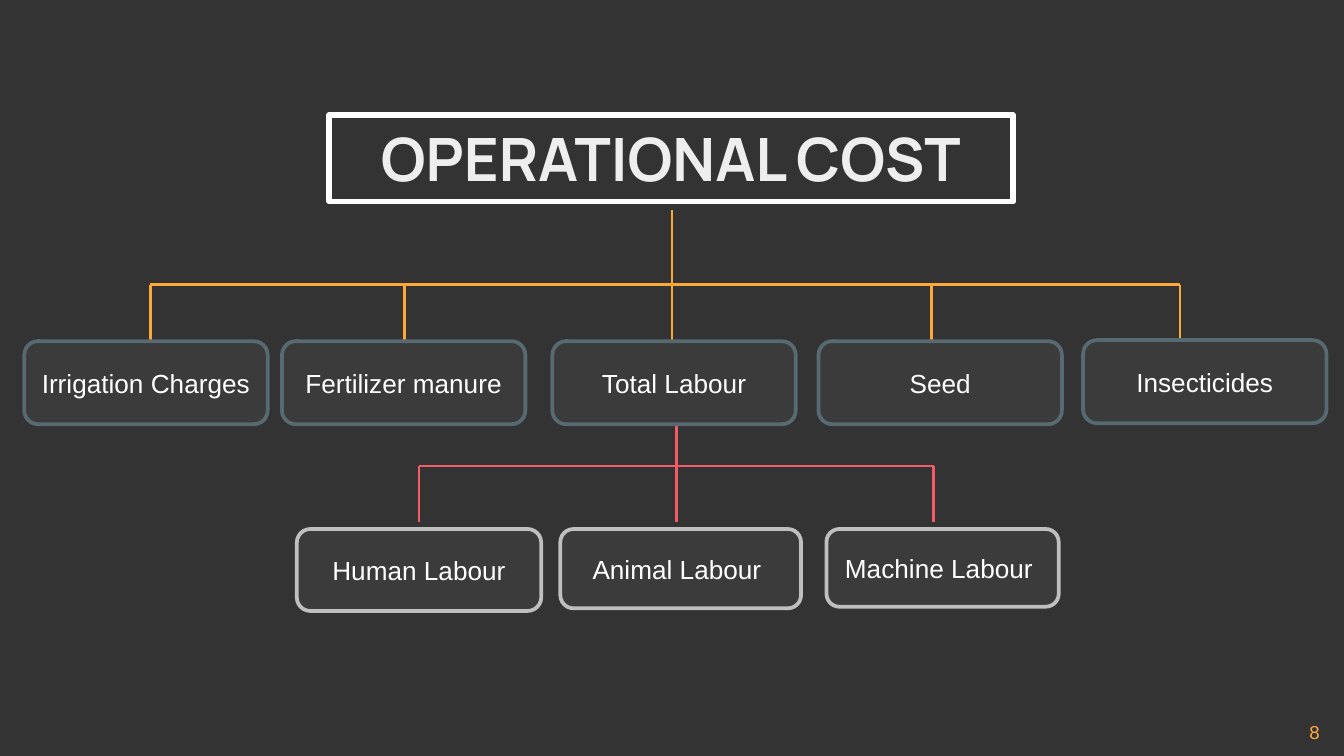
from dataclasses import dataclass

from lxml import etree
from pptx import Presentation
from pptx.dml.color import RGBColor
from pptx.enum.shapes import MSO_CONNECTOR, MSO_SHAPE
from pptx.enum.text import MSO_ANCHOR, PP_ALIGN
from pptx.oxml.ns import qn
from pptx.util import Cm, Pt

STRAIGHT = MSO_CONNECTOR.STRAIGHT
RECT, ROUNDED = MSO_SHAPE.RECTANGLE, MSO_SHAPE.ROUNDED_RECTANGLE
TOP, MIDDLE = MSO_ANCHOR.TOP, MSO_ANCHOR.MIDDLE
CENTER, RIGHT = PP_ALIGN.CENTER, PP_ALIGN.RIGHT


@dataclass(frozen=True)
class Theme:
    background: str = "333333"
    box_fill: str = "3B3B3B"
    cost_line: str = "576971"
    labour_line: str = "BFBFBF"
    cost_branch: str = "FDA739"
    labour_branch: str = "F35B69"
    white: str = "FFFFFF"
    title: str = "EEEEEE"
    number: str = "FFAB40"
    body_font: str = "Arial"
    title_font: str = "Manrope"
    title_size: float = 32
    box_size: float = 14
    number_size: float = 10
    branch_width: float = 1.5
    box_width: float = 2
    title_width: float = 3


@dataclass(frozen=True)
class Box:
    text: str
    left: float
    top: float
    width: float = 4.6
    height: float = 1.57


@dataclass(frozen=True)
class Branch:
    trunk_x: float
    trunk_top: float
    bar_y: float
    drop_bottom: float
    drops: tuple[float, ...]


THEME = Theme()
TITLE = Box("OPERATIONAL COST", 6.22, 2.18, 12.93, 1.63)
NUMBER = Box("8", 23.67, 13.41, 1.52, 0.86)
COSTS = (
    Box("Irrigation Charges", 0.46, 6.45),
    Box("Fertilizer manure", 5.33, 6.45),
    Box("Total Labour", 10.44, 6.45),
    Box("Seed", 15.47, 6.45),
    Box("Insecticides", 20.47, 6.43),
)
LABOUR = (
    Box("Human Labour", 5.61, 10, 4.62, 1.55),
    Box("Animal Labour ", 10.59, 10, 4.55, 1.5),
    Box("Machine Labour ", 15.62, 10, 4.39, 1.47),
)
COST_BRANCH = Branch(12.7, 3.96, 5.38, 6.5, (2.84, 7.65, 12.7, 17.6, 22.3))
LABOUR_BRANCH = Branch(12.78, 7.7, 8.81, 9.87, (7.92, 12.78, 17.65))


def set_text(s, text: str, size: float, color: str, font: str,
             align=CENTER, anchor=MIDDLE, pad: float = 0.13, bold: bool = False) -> None:
    tf = s.text_frame
    frame = {"word_wrap": True, "vertical_anchor": anchor,
             "margin_left": Cm(0.25), "margin_right": Cm(0.25),
             "margin_top": Cm(pad), "margin_bottom": Cm(pad)}
    for name, value in frame.items():
        setattr(tf, name, value)
    p = tf.paragraphs[0]
    p.alignment = align
    r = p.add_run()
    r.text = text
    for name, value in {"name": font, "size": Pt(size), "bold": bold}.items():
        setattr(r.font, name, value)
    r.font.color.rgb = RGBColor.from_string(color)


def bounds(box: Box) -> tuple[Cm, ...]:
    return tuple(Cm(v) for v in (box.left, box.top, box.width, box.height))


def add_box(slide, box: Box, kind, line: str, width: float, fill: str | None = None):
    s = slide.shapes.add_shape(kind, *bounds(box))
    s.shadow.inherit = False
    if fill:
        s.fill.solid()
        s.fill.fore_color.rgb = RGBColor.from_string(fill)
    else:
        s.fill.background()
    s.line.color.rgb = RGBColor.from_string(line)
    s.line.width = Pt(width)
    return s


def add_row(slide, boxes: tuple[Box, ...], line: str) -> None:
    for box in boxes:
        s = add_box(slide, box, ROUNDED, line, THEME.box_width, THEME.box_fill)
        set_text(s, box.text, THEME.box_size, THEME.white, THEME.body_font)


def add_line(slide, x1: float, y1: float, x2: float, y2: float, color: str) -> None:
    s = slide.shapes.add_connector(STRAIGHT, Cm(x1), Cm(y1), Cm(x2), Cm(y2))
    s.line.color.rgb = RGBColor.from_string(color)
    s.line.width = Pt(THEME.branch_width)
    etree.SubElement(s._element.spPr, qn("a:effectLst"))


def add_branch(slide, b: Branch, color: str) -> None:
    add_line(slide, b.trunk_x, b.trunk_top, b.trunk_x, b.bar_y, color)
    add_line(slide, b.drops[0], b.bar_y, b.drops[-1], b.bar_y, color)
    for x in b.drops:
        add_line(slide, x, b.bar_y, x, b.drop_bottom, color)


def main() -> None:
    prs = Presentation()
    prs.slide_width, prs.slide_height = Cm(25.4), Cm(14.29)
    slide = prs.slides.add_slide(prs.slide_layouts[6])
    slide.background.fill.solid()
    slide.background.fill.fore_color.rgb = RGBColor.from_string(THEME.background)

    add_branch(slide, COST_BRANCH, THEME.cost_branch)
    add_branch(slide, LABOUR_BRANCH, THEME.labour_branch)
    add_row(slide, LABOUR, THEME.labour_line)
    add_row(slide, COSTS, THEME.cost_line)

    s = slide.shapes.add_textbox(*bounds(NUMBER))
    set_text(s, NUMBER.text, THEME.number_size, THEME.number, THEME.body_font,
             align=RIGHT, anchor=TOP, pad=0.25)
    s = add_box(slide, TITLE, RECT, THEME.white, THEME.title_width)
    set_text(s, TITLE.text, THEME.title_size, THEME.title, THEME.title_font,
             anchor=TOP, bold=True)
    prs.save("out.pptx")


if __name__ == "__main__":
    main()
